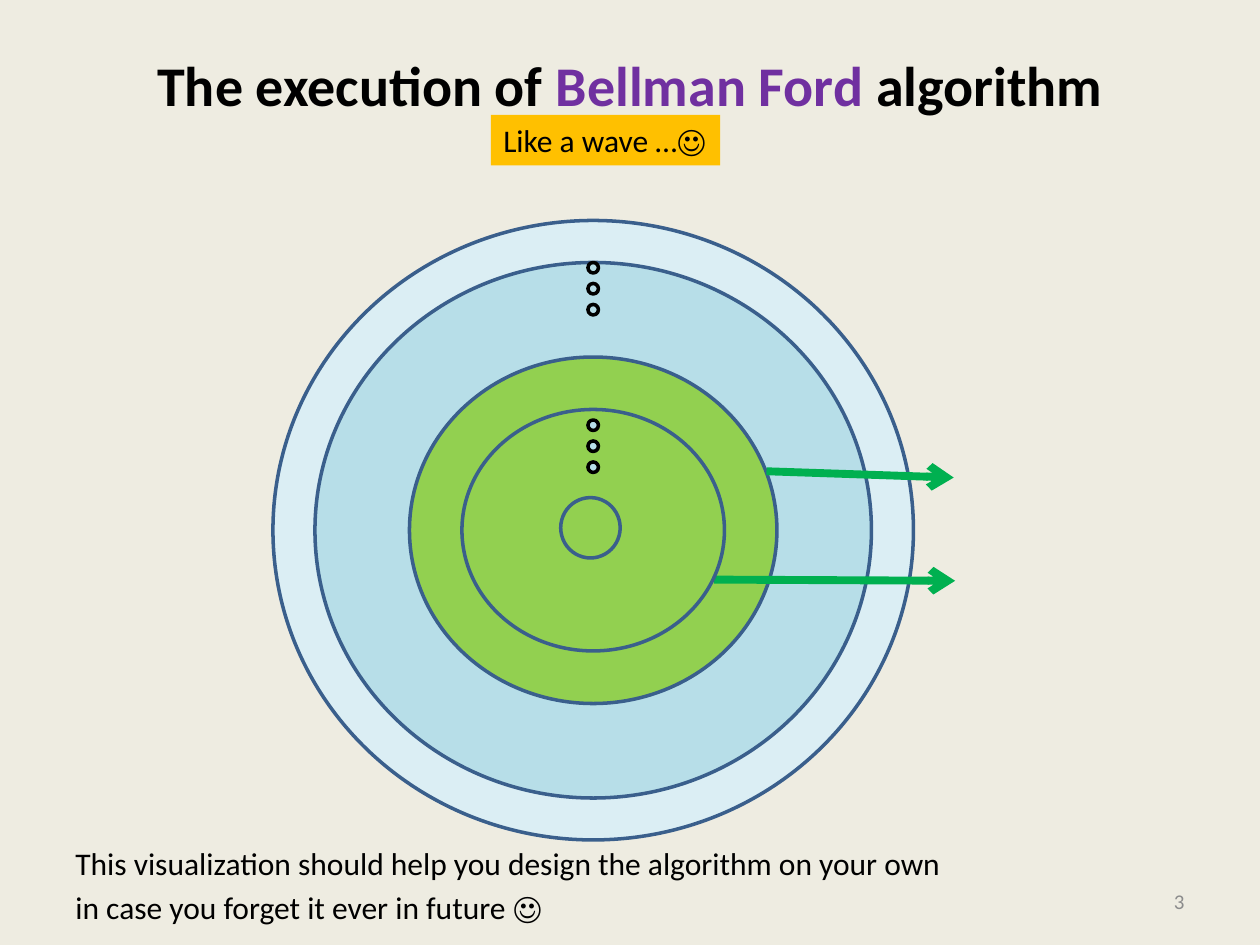
from lxml.etree import SubElement
from pptx import Presentation
from pptx.dml.color import RGBColor
from pptx.enum.shapes import MSO_CONNECTOR, MSO_SHAPE
from pptx.enum.text import MSO_ANCHOR, MSO_AUTO_SIZE, PP_ALIGN
from pptx.oxml.ns import qn
from pptx.util import Pt


def color(value):
    return RGBColor.from_string(value)


def add_centered_ellipse(shapes, center_x, center_y, width, height, fill, line):
    ellipse = shapes.add_shape(
        MSO_SHAPE.OVAL, Pt(center_x - width / 2), Pt(center_y - height / 2), Pt(width), Pt(height))
    ellipse.shadow.inherit = False
    ellipse.fill.solid()
    ellipse.fill.fore_color.rgb = color(fill)
    ellipse.line.color.rgb = color(line)
    ellipse.line.width = Pt(2)


presentation = Presentation()
presentation.slide_width, presentation.slide_height = Pt(720), Pt(540)
slide = presentation.slides.add_slide(presentation.slide_layouts[5])
shapes = slide.shapes
slide.background.fill.solid()
slide.background.fill.fore_color.rgb = color("EEECE1")

# Title
title = shapes.title
title.left, title.top, title.width, title.height = Pt(36), Pt(20), Pt(648), Pt(56)
title.text_frame.vertical_anchor = MSO_ANCHOR.MIDDLE
paragraph = title.text_frame.paragraphs[0]
paragraph.alignment = PP_ALIGN.CENTER
paragraph.font.name, paragraph.font.size, paragraph.font.bold = "Calibri", Pt(32), True
for text, text_color in [("The execution of ", "000000"), ("Bellman Ford ", "7030A0"),
                         ("algorithm", "000000")]:
    run = paragraph.add_run()
    run.text = text
    run.font.color.rgb = color(text_color)

# Outer waves
center_x, center_y = 339, 303
for width, height, fill in [(366, 354, "DBEEF4"), (318, 306, "B7DEE8"), (210, 198, "92D050")]:
    add_centered_ellipse(shapes, center_x, center_y, width, height, fill, "3A5F8C")

# Arrows showing the waves moving outwards
for start_x, start_y, end_x, end_y in [(438, 269.3, 545, 272.9), (408, 331.2, 545.8, 331.9)]:
    arrow = shapes.add_connector(
        MSO_CONNECTOR.STRAIGHT, Pt(start_x), Pt(start_y), Pt(end_x), Pt(end_y))
    arrow.line.color.rgb = color("00B050")
    arrow.line.width = Pt(4.5)
    SubElement(arrow.line._get_or_add_ln(), qn("a:tailEnd"), type="arrow")
    SubElement(arrow._element.spPr, qn("a:effectLst"))

# Inner wave and source
add_centered_ellipse(shapes, center_x, center_y, 150, 138, "92D050", "3A5F8C")
add_centered_ellipse(shapes, 337.4, 301.6, 34, 34.5, "92D050", "3A5F8C")

# Vertical ellipses standing for the waves in between
for first_dot_y in (153, 243):
    dots = shapes.add_group_shape()
    for index in range(3):
        add_centered_ellipse(dots.shapes, center_x, first_dot_y + 12 * index, 6, 6,
                             "B7DEE8", "000000")

# Text boxes
for left, top, width, height, lines, size, text_color, alignment, fill in [
    (280.5, 65.6, 131, 29, ["Like a wave …☺"], 18, "000000", PP_ALIGN.LEFT, "FFC000"),
    (36, 479, 648, 56, ["This visualization should help you design the algorithm on your own",
                        "in case you forget it ever in future ☺"],
     18, "000000", PP_ALIGN.LEFT, None),
    (516, 500.5, 168, 29, ["3"], 12, "8C8C8C", PP_ALIGN.RIGHT, None),
]:
    box = shapes.add_textbox(Pt(left), Pt(top), Pt(width), Pt(height))
    frame = box.text_frame
    frame.word_wrap = True
    frame.vertical_anchor = MSO_ANCHOR.MIDDLE if size == 12 else MSO_ANCHOR.TOP
    if fill:
        box.fill.solid()
        box.fill.fore_color.rgb = color(fill)
        frame.word_wrap = False
        frame.auto_size = MSO_AUTO_SIZE.SHAPE_TO_FIT_TEXT
        frame.margin_right = Pt(3)
    for index, line in enumerate(lines):
        paragraph = frame.add_paragraph() if index else frame.paragraphs[0]
        paragraph.text = line
        paragraph.alignment = alignment
        if index:
            paragraph.space_before = Pt(3.6)
        paragraph.font.name, paragraph.font.size = "Calibri", Pt(size)
        paragraph.font.color.rgb = color(text_color)

presentation.save("out.pptx")
